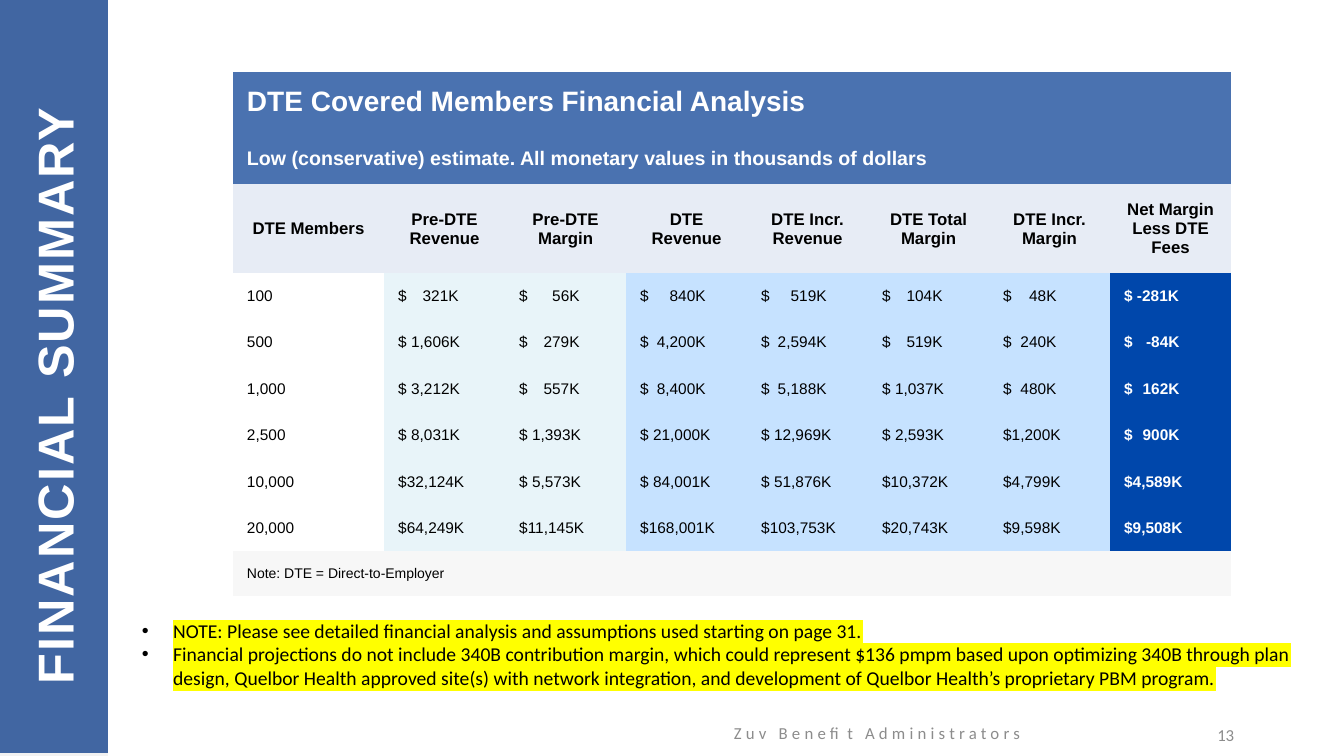
from dataclasses import dataclass

from pptx import Presentation
from pptx.dml.color import RGBColor
from pptx.enum.shapes import MSO_SHAPE
from pptx.enum.text import MSO_ANCHOR, MSO_AUTO_SIZE, PP_ALIGN
from pptx.oxml.ns import qn
from pptx.oxml.xmlchemy import OxmlElement
from pptx.util import Inches, Pt

RECTANGLE = MSO_SHAPE.RECTANGLE
MIDDLE = MSO_ANCHOR.MIDDLE
TOP = MSO_ANCHOR.TOP
FIT_SHAPE = MSO_AUTO_SIZE.SHAPE_TO_FIT_TEXT
LEFT, CENTER, RIGHT = PP_ALIGN.LEFT, PP_ALIGN.CENTER, PP_ALIGN.RIGHT
PLAIN_TABLE_STYLE = "{2D5ABB26-0587-4C30-8999-92F81FD0307C}"


@dataclass(frozen=True)
class Theme:
    """Fonts, colours and type sizes of the slide."""
    table_font: str = "Arial"
    body_font: str = "Calibri"
    white: str = "FFFFFF"
    black: str = "000000"
    grey: str = "8C8C8C"
    strip_base: str = "F2F2F2"
    strip: str = "254F96"
    banner: str = "4A72B0"
    heading: str = "E7ECF5"
    before: str = "E8F4F9"
    after: str = "C6E2FF"
    net: str = "0047AB"
    note: str = "F7F7F7"
    highlight: str = "FFFF00"
    side_title: int = 36
    table_title: int = 20
    subtitle: int = 14
    header: int = 12
    value: int = 11
    footnote: int = 10
    body: int = 14
    footer: int = 12


THEME = Theme()

TABLE_TITLE = "DTE Covered Members Financial Analysis"
TABLE_SUBTITLE = "Low (conservative) estimate. All monetary values in thousands of dollars"
TABLE_NOTE = "Note: DTE = Direct-to-Employer"
HEADERS = ["DTE Members", "Pre-DTE Revenue", "Pre-DTE Margin", "DTE Revenue",
           "DTE Incr. Revenue", "DTE Total Margin", "DTE Incr. Margin",
           "Net Margin Less DTE Fees"]
VALUES = [
    ["100", "$\t321K", "$\t56K", "$\t840K", "$\t519K", "$\t104K", "$\t48K", "$ -281K"],
    ["500", "$ 1,606K", "$\t279K", "$\t4,200K", "$\t2,594K", "$\t519K", "$\t240K", "$\t-84K"],
    ["1,000", "$ 3,212K", "$\t557K", "$\t8,400K", "$\t5,188K", "$ 1,037K", "$\t480K", "$\t162K"],
    ["2,500", "$ 8,031K", "$ 1,393K", "$ 21,000K", "$ 12,969K", "$ 2,593K", "$1,200K", "$\t900K"],
    ["10,000", "$32,124K", "$ 5,573K", "$ 84,001K", "$ 51,876K", "$10,372K", "$4,799K", "$4,589K"],
    ["20,000", "$64,249K", "$11,145K", "$168,001K", "$103,753K", "$20,743K", "$9,598K", "$9,508K"],
]
COLUMN_FILLS = [THEME.white] + [THEME.before] * 2 + [THEME.after] * 4 + [THEME.net]
VALUE_STOPS = [0, 0.6, 0.6, 0.65, 0.65, 0.6, 0.53, 0.55]
COLUMN_WIDTHS = [1.5] + [1.2] * 7
ROW_HEIGHTS = [0.6, 0.52, 0.88] + [0.46] * len(VALUES) + [0.44]
NOTES = [
    "NOTE: Please see detailed financial analysis and assumptions used starting on page 31.",
    "Financial projections do not include 340B contribution margin, which could represent "
    "$136 pmpm based upon optimizing 340B through plan design, Quelbor Health approved site(s) "
    "with network integration, and development of Quelbor Health’s proprietary PBM program.",
]


def add_span(para, text, font, size, color, bold=False, spacing=0):
    """Add one formatted run; spacing is in points."""
    span = para.add_run()
    span.text = text
    span.font.name = font
    span.font.size = Pt(size)
    span.font.bold = bold
    span.font.color.rgb = RGBColor.from_string(color)
    if spacing:
        span.font._element.set("spc", str(int(spacing * 100)))
    return span


def add_highlight(span, color):
    """Mark a run with a highlight colour."""
    highlight = OxmlElement("a:highlight")
    value = OxmlElement("a:srgbClr")
    value.set("val", color)
    highlight.append(value)
    span.font._element.find(qn("a:solidFill")).addnext(highlight)


def add_bullet(para, indent):
    """Give a paragraph a hanging round bullet."""
    properties = para._p.get_or_add_pPr()
    properties.set("marL", str(Inches(indent)))
    properties.set("indent", str(-Inches(indent)))
    font = OxmlElement("a:buFont")
    font.set("typeface", "Arial")
    bullet = OxmlElement("a:buChar")
    bullet.set("char", "•")
    properties.extend([font, bullet])


def add_right_stop(para, position):
    """Set a right-aligned tab stop."""
    stops = OxmlElement("a:tabLst")
    stop = OxmlElement("a:tab")
    stop.set("pos", str(Inches(position)))
    stop.set("algn", "r")
    stops.append(stop)
    para._p.get_or_add_pPr().append(stops)


def add_strip(page, top, color, opacity=100):
    """Add a full-height strip at the left edge."""
    strip = page.shapes.add_shape(RECTANGLE, 0, Inches(top), Inches(1.07), Inches(7.5))
    strip.shadow.inherit = False
    strip.line.fill.background()
    strip.fill.solid()
    strip.fill.fore_color.rgb = RGBColor.from_string(color)
    if opacity < 100:
        alpha = OxmlElement("a:alpha")
        alpha.set("val", str(opacity * 1000))
        strip.element.spPr.find(qn("a:solidFill"))[0].append(alpha)


def add_box(page, left, top, width, height, anchor=MIDDLE):
    """Add a wrapping text box."""
    box = page.shapes.add_textbox(Inches(left), Inches(top), Inches(width), Inches(height))
    box.text_frame.word_wrap = True
    box.text_frame.vertical_anchor = anchor
    return box


def add_label(box, text, font, size, color, align=LEFT, bold=False, spacing=0):
    """Write one line into a text box."""
    para = box.text_frame.paragraphs[0]
    para.alignment = align
    add_span(para, text, font, size, color, bold, spacing)


def fill_cell(cell, text, fill, size, color=THEME.black, bold=False, align=LEFT, stop=0):
    """Fill and write one table cell."""
    cell.fill.solid()
    cell.fill.fore_color.rgb = RGBColor.from_string(fill)
    cell.vertical_anchor = MIDDLE
    cell.margin_left = cell.margin_right = Inches(0.14)
    cell.margin_top = cell.margin_bottom = 0
    para = cell.text_frame.paragraphs[0]
    para.alignment = align
    if "\t" in text:
        add_right_stop(para, stop)
    add_span(para, text, THEME.table_font, size, color, bold)


def add_financial_table(page):
    """Add the table of revenue and margin by member count."""
    frame = page.shapes.add_table(len(ROW_HEIGHTS), len(HEADERS), Inches(2.31), Inches(0.71),
                                  Inches(sum(COLUMN_WIDTHS)), Inches(sum(ROW_HEIGHTS)))
    next(frame.element.iter(qn("a:tableStyleId"))).text = PLAIN_TABLE_STYLE
    table = frame.table
    table.first_row = table.horz_banding = False
    for column, width in zip(table.columns, COLUMN_WIDTHS):
        column.width = Inches(width)
    for row, height in zip(table.rows, ROW_HEIGHTS):
        row.height = Inches(height)

    last_row, last_column = len(ROW_HEIGHTS) - 1, len(HEADERS) - 1
    for row, text, fill, size, color, bold in [
        (0, TABLE_TITLE, THEME.banner, THEME.table_title, THEME.white, True),
        (1, TABLE_SUBTITLE, THEME.banner, THEME.subtitle, THEME.white, True),
        (last_row, TABLE_NOTE, THEME.note, THEME.footnote, THEME.black, False),
    ]:
        table.cell(row, 0).merge(table.cell(row, last_column))
        fill_cell(table.cell(row, 0), text, fill, size, color, bold)
    for column, text in enumerate(HEADERS):
        fill_cell(table.cell(2, column), text, THEME.heading, THEME.header,
                  bold=True, align=CENTER)
    for row, values in enumerate(VALUES, start=3):
        for column, text in enumerate(values):
            is_net = column == last_column
            fill_cell(table.cell(row, column), text, COLUMN_FILLS[column], THEME.value,
                      THEME.white if is_net else THEME.black, is_net,
                      stop=VALUE_STOPS[column])


def add_notes_list(page):
    """Add the highlighted bullets below the table."""
    box = add_box(page, 1.31, 6.09, 11.9, 0.81, TOP)
    box.text_frame.auto_size = FIT_SHAPE
    for index, text in enumerate(NOTES):
        para = box.text_frame.add_paragraph() if index else box.text_frame.paragraphs[0]
        add_bullet(para, 0.31)
        span = add_span(para, text, THEME.body_font, THEME.body, THEME.black)
        add_highlight(span, THEME.highlight)


def main():
    """Build the financial summary slide."""
    deck = Presentation()
    deck.slide_width, deck.slide_height = Inches(13.33), Inches(7.5)
    page = deck.slides.add_slide(deck.slide_layouts[6])
    add_strip(page, 0, THEME.strip_base)
    add_label(add_box(page, 6.45, 7.07, 4.5, 0.4), "Zuv Benefit Administrators",
              THEME.body_font, THEME.footer, THEME.grey, CENTER, spacing=3)
    add_label(add_box(page, 9.34, 7.09, 3, 0.4), "13",
              THEME.body_font, THEME.footer, THEME.grey, RIGHT)
    add_strip(page, -0.03, THEME.strip, opacity=86)
    side_title = add_box(page, -2.7, 3.25, 6.46, 0.82)
    side_title.rotation = 270
    add_label(side_title, "FINANCIAL SUMMARY", THEME.table_font, THEME.side_title,
              THEME.white, bold=True, spacing=1.5)
    add_notes_list(page)
    add_financial_table(page)
    deck.save("out.pptx")


if __name__ == "__main__":
    main()
